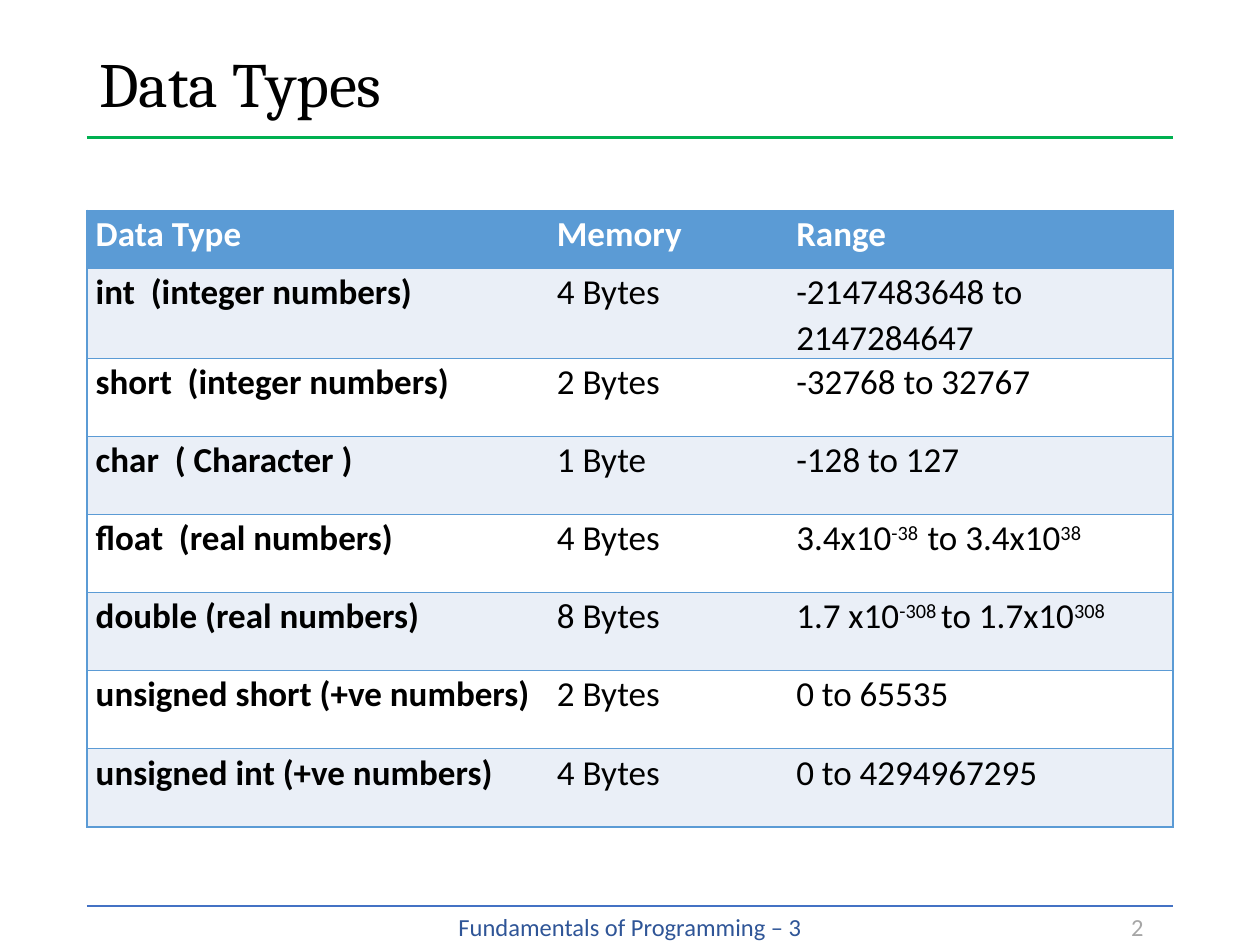
from lxml.etree import SubElement as SubEl
from pptx import Presentation
from pptx.dml.color import RGBColor as RGB
from pptx.enum.shapes import MSO_CONNECTOR as CONN
from pptx.enum.text import MSO_ANCHOR as ANCHOR, MSO_AUTO_SIZE as FIT, PP_ALIGN as ALIGN
from pptx.oxml.ns import qn
from pptx.util import Inches, Pt

BLACK = RGB(0, 0, 0)
WHITE = RGB(255, 255, 255)
BLUE = RGB(0x5B, 0x9B, 0xD5)
PALE = RGB(0xEA, 0xEF, 0xF7)
NAVY = RGB(0x2F, 0x55, 0x97)
RULE = RGB(0x44, 0x72, 0xC4)
GREEN = RGB(0x00, 0xB0, 0x50)
GRAY = RGB(0xA6, 0xA6, 0xA6)

LEFT, WIDTH = 0.69, 8.62
RIGHT = LEFT + WIDTH
FOOT = 7.19

# Text between carets is raised
ROWS = [
    ("Data Type", "Memory", "Range"),
    ("int  (integer numbers)", "4 Bytes", "-2147483648 to 2147284647"),
    ("short  (integer numbers)", "2 Bytes", "-32768 to 32767"),
    ("char  ( Character )", "1 Byte", "-128 to 127"),
    ("float  (real numbers)", "4 Bytes", "3.4x10^-38  ^to 3.4x10^38"),
    ("double (real numbers)", "8 Bytes", "1.7 x10^-308 ^to 1.7x10^308"),
    ("unsigned short (+ve numbers)", "2 Bytes", "0 to 65535"),
    ("unsigned int (+ve numbers)", "4 Bytes", "0 to 4294967295"),
]


class Sheet:
    body, head = "Calibri", "Cambria"

    def __init__(self, slide):
        self.slide = slide

    def style(self, font, size, color, face=None, bold=False):
        font.name = face or self.body
        font.size = Pt(size)
        font.bold = bold
        font.color.rgb = color

    def title(self, text, x, y, w, h):
        box = self.slide.shapes.title
        box.left, box.top, box.width, box.height = map(Inches, (x, y, w, h))
        frame = box.text_frame
        frame.text = text
        frame.auto_size = FIT.NONE
        frame.vertical_anchor = ANCHOR.MIDDLE
        para = frame.paragraphs[0]
        para.alignment = ALIGN.LEFT
        para.line_spacing = 0.9
        self.style(para.runs[0].font, 36, BLACK, self.head)

    def label(self, text, x, y, w, h, color, align=ALIGN.LEFT):
        box = self.slide.shapes.add_textbox(*map(Inches, (x, y, w, h)))
        frame = box.text_frame
        frame.word_wrap = True
        frame.text = text
        para = frame.paragraphs[0]
        para.alignment = align
        self.style(para.runs[0].font, 14, color)

    def rule(self, y, color, width):
        line = self.slide.shapes.add_connector(
            CONN.STRAIGHT, *map(Inches, (LEFT, y, RIGHT, y)))
        line.line.color.rgb = color
        line.line.width = Pt(width)
        SubEl(line._element.spPr, qn("a:effectLst"))

    def edge(self, cell, side, color):
        props = cell._tc.get_or_add_tcPr()
        line = SubEl(props, qn(f"a:ln{side}"), w=str(Pt(1)))
        if color is None:
            SubEl(line, qn("a:noFill"))
        else:
            fill = SubEl(line, qn("a:solidFill"))
            SubEl(fill, qn("a:srgbClr"), val=str(color))

    def cell(self, cell, text, fill, color, bold):
        cell.margin_left = cell.margin_right = Inches(0.07)
        cell.margin_top = cell.margin_bottom = 0
        para = cell.text_frame.paragraphs[0]
        para.line_spacing = 1.07
        for i, part in enumerate(text.split("^")):
            run = para.add_run()
            run.text = part
            self.style(run.font, 20, color, bold=bold)
            if i % 2:
                run._r.get_or_add_rPr().set("baseline", "30000")
        cell.fill.solid()
        cell.fill.fore_color.rgb = fill

    def table(self, rows, x, y, cols, highs):
        area = map(Inches, (x, y, sum(cols), sum(highs)))
        grid = self.slide.shapes.add_table(len(rows), len(cols), *area).table
        for col, wide in zip(grid.columns, cols):
            col.width = Inches(wide)
        for r, (row, high) in enumerate(zip(rows, highs)):
            grid.rows[r].height = Inches(high)
            fill = BLUE if r == 0 else PALE if r % 2 else WHITE
            color = BLACK if r else WHITE
            for c, text in enumerate(row):
                cell = grid.cell(r, c)
                # Upright borders only at the outer edges
                self.edge(cell, "L", BLUE if c == 0 else None)
                self.edge(cell, "R", BLUE if c == len(cols) - 1 else None)
                self.edge(cell, "T", BLUE)
                self.edge(cell, "B", BLUE)
                self.cell(cell, text, fill, color, r == 0 or c == 0)


def main():
    deck = Presentation()
    deck.slide_width, deck.slide_height = Inches(10), Inches(7.5)
    sheet = Sheet(deck.slides.add_slide(deck.slide_layouts[5]))

    # Footer
    sheet.label("Fundamentals of Programming – 3", LEFT, FOOT, WIDTH, 0.31,
                NAVY, ALIGN.CENTER)
    sheet.rule(FOOT, RULE, 1)
    sheet.label("2", 8.88, FOOT, 0.43, 0.31, GRAY)

    # Heading
    sheet.title("Data Types", LEFT, 0.29, WIDTH, 0.8)
    sheet.rule(1.09, GREEN, 2)

    # Table of types
    highs = [0.46] + [0.62] * (len(ROWS) - 1)
    sheet.table(ROWS, LEFT, 1.67, (3.66, 1.9, 3.06), highs)

    deck.save("out.pptx")


if __name__ == "__main__":
    main()
